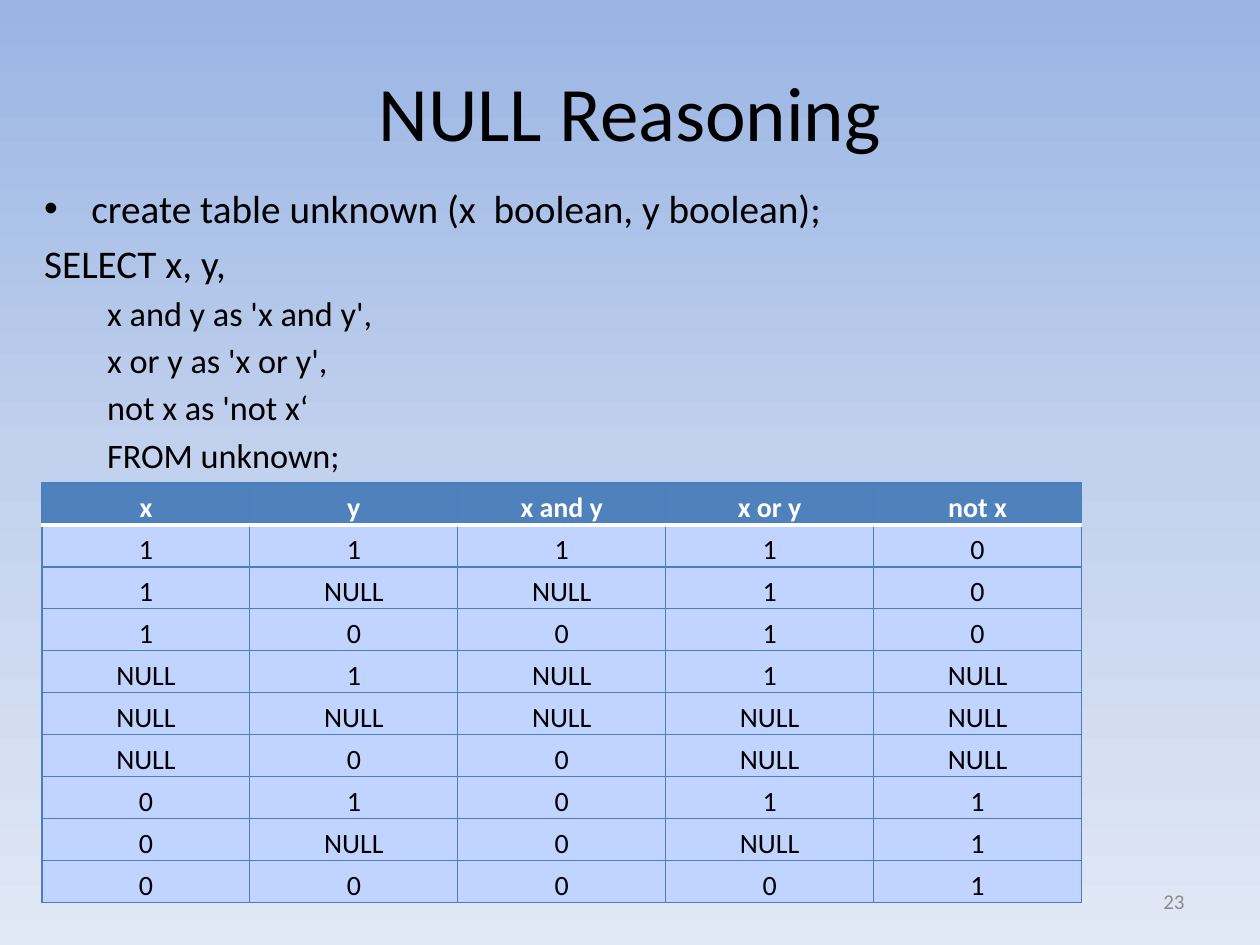
"""Build the NULL Reasoning slide with its three-valued truth table."""
from itertools import product

from pptx import Presentation
from pptx.dml.color import RGBColor
from pptx.enum.text import MSO_ANCHOR, MSO_AUTO_SIZE, PP_ALIGN
from pptx.oxml import parse_xml
from pptx.oxml.ns import nsdecls
from pptx.util import Pt

HUES = {"text": "000000", "head": "4F81BD", "cell": "C0D4FF", "rule": "4B7EBC",
        "white": "FFFFFF", "page": "8C8C8C",
        "top": "9AB5E4", "mid": "C2D1ED", "low": "E1E8F5"}


def write(para, text, size=16, hue="text", bold=False, align=PP_ALIGN.CENTER):
    para.alignment = align
    run = para.add_run()
    run.text = text
    run.font.name = "Calibri"
    run.font.size = Pt(size)
    run.font.bold = bold
    run.font.color.rgb = RGBColor.from_string(HUES[hue])


def edge(cell, side, hue, width):
    return parse_xml(
        f'<a:{side} {nsdecls("a")} w="{Pt(width)}"><a:solidFill>'
        f'<a:srgbClr val="{HUES[hue]}"/></a:solidFill></a:{side}>')


deck = Presentation()
deck.slide_width, deck.slide_height = Pt(720), Pt(540)
slide = deck.slides.add_slide(deck.slide_layouts[1])

stops = "".join(f'<a:gs pos="{pos}"><a:srgbClr val="{HUES[hue]}"/></a:gs>'
                for pos, hue in ((0, "top"), (50000, "mid"), (100000, "low")))
slide.element.cSld.insert(0, parse_xml(
    f'<p:bg {nsdecls("p", "a")}><p:bgPr><a:gradFill rotWithShape="1">'
    f'<a:gsLst>{stops}</a:gsLst><a:lin ang="5400000" scaled="0"/></a:gradFill>'
    '<a:effectLst/></p:bgPr></p:bg>'))

title, body = slide.placeholders
page = slide.shapes.add_textbox(0, 0, 0, 0)
for shape, box in ((title, (54, 24, 612, 78)), (body, (18, 102, 600, 162)),
                   (page, (516, 500.5, 168, 28.75))):
    shape.left, shape.top, shape.width, shape.height = map(Pt, box)
    shape.text_frame.word_wrap = True
    shape.text_frame.auto_size = MSO_AUTO_SIZE.NONE
title.text_frame.vertical_anchor = MSO_ANCHOR.MIDDLE
page.text_frame.vertical_anchor = MSO_ANCHOR.MIDDLE
write(title.text_frame.paragraphs[0], "NULL Reasoning", size=44)
write(page.text_frame.paragraphs[0], "23", size=12, hue="page", align=PP_ALIGN.RIGHT)

lines = [("create table unknown (x  boolean, y boolean);", 0, 27, -27),
         ("SELECT x, y, ", 0, 0, 0),
         ("x and y as 'x and y',", 1, 36, 0),
         ("x or y as 'x or y',", 1, 36, 0),
         ("not x as 'not x‘", 1, 36, 0),
         ("FROM unknown;", 1, 36, 0)]
frame = body.text_frame
for i, (text, level, left, hang) in enumerate(lines):
    para = frame.add_paragraph() if i else frame.paragraphs[0]
    para.level = level
    para.space_before = Pt(3.5 if level else 4.1)
    write(para, text, size=19.6 if level else 22.4, align=PP_ALIGN.LEFT)
    props = para._p.get_or_add_pPr()
    props.set("marL", str(Pt(left)))
    props.set("indent", str(Pt(hang)))
    mark = 'buChar char="•"' if hang else "buNone"
    props.append(parse_xml(f'<a:{mark} {nsdecls("a")}/>'.replace("buNone ", "buNone ")))

names = {1: "1", 0.5: "NULL", 0: "0"}
rows = [["x", "y", "x and y", "x or y", "not x"]]
for x, y in product(names, repeat=2):
    rows.append([names[v] for v in (x, y, min(x, y), max(x, y), 1 - x)])

table = slide.shapes.add_table(len(rows), 5, Pt(24), Pt(276), Pt(594), Pt(240)).table
for col in table.columns:
    col.width = Pt(118.8)
for r, row in enumerate(rows):
    table.rows[r].height = Pt(24)
    for c, text in enumerate(row):
        cell = table.cell(r, c)
        cell.margin_left = cell.margin_right = cell.margin_top = Pt(0.75)
        cell.margin_bottom = 0
        cell.vertical_anchor = MSO_ANCHOR.BOTTOM
        cell.fill.solid()
        cell.fill.fore_color.rgb = RGBColor.from_string(HUES["cell" if r else "head"])
        write(cell.text_frame.paragraphs[0], text,
              hue="text" if r else "white", bold=r == 0)
        for n, side in enumerate(("lnL", "lnR", "lnT", "lnB")):
            split = (r, side) in ((0, "lnB"), (1, "lnT"))
            line = edge(cell, side, *(("white", 2) if split else ("rule", 0.75)))
            cell._tc.get_or_add_tcPr().insert(n, line)

deck.save("out.pptx")
